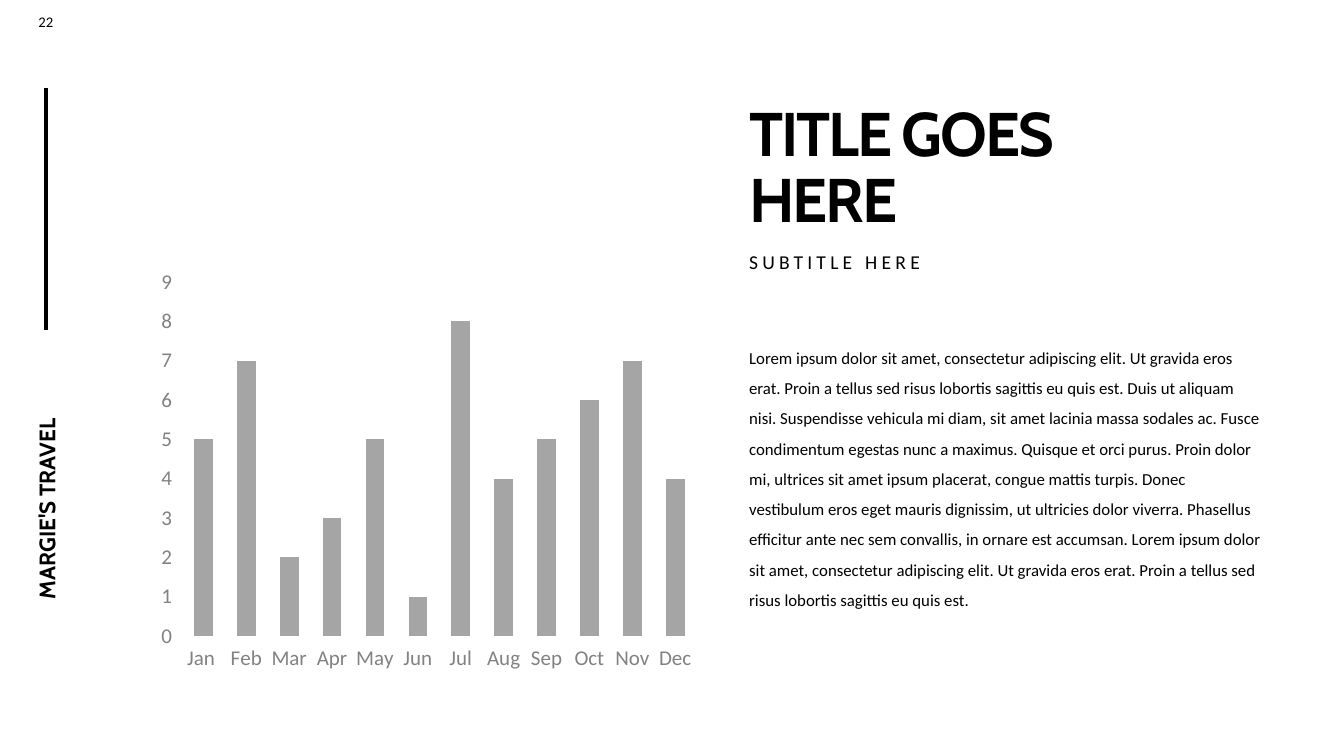
from dataclasses import dataclass

from pptx import Presentation
from pptx.chart.data import CategoryChartData
from pptx.dml.color import RGBColor
from pptx.enum.chart import XL_CHART_TYPE as ChartType, XL_TICK_MARK as TickMark
from pptx.enum.shapes import MSO_CONNECTOR as Connector
from pptx.enum.text import MSO_ANCHOR as Anchor, MSO_AUTO_SIZE as AutoSize, PP_ALIGN as Align
from pptx.oxml.ns import qn
from pptx.util import Inches, Pt

PAGE_NUMBER = "22"
COMPANY = "MARGIE'S TRAVEL"
TITLE = "TITLE GOES\vHERE"
SUBTITLE = "SUBTITLE HERE"
BODY = (
    "Lorem ipsum dolor sit amet, consectetur adipiscing elit. Ut gravida eros erat. "
    "Proin a tellus sed risus lobortis sagittis eu quis est. Duis ut aliquam nisi. "
    "Suspendisse vehicula mi diam, sit amet lacinia massa sodales ac. Fusce condimentum "
    "egestas nunc a maximus. Quisque et orci purus. Proin dolor mi, ultrices sit amet "
    "ipsum placerat, congue mattis turpis. Donec vestibulum eros eget mauris dignissim, "
    "ut ultricies dolor viverra. Phasellus efficitur ante nec sem convallis, in ornare "
    "est accumsan. Lorem ipsum dolor sit amet, consectetur adipiscing elit. Ut gravida "
    "eros erat. Proin a tellus sed risus lobortis sagittis eu quis est."
)
MONTHLY = {
    "Jan ": 5, "Feb": 7, "Mar": 2, "Apr": 3, "May": 5, "Jun": 1,
    "Jul": 8, "Aug": 4, "Sep": 5, "Oct": 6, "Nov": 7, "Dec": 4,
}


@dataclass(frozen=True)
class Theme:
    heading_font: str = "Cabin"
    body_font: str = "Calibri"
    ink: RGBColor = RGBColor(0x00, 0x00, 0x00)
    chart_ink: RGBColor = RGBColor(0x3F, 0x3F, 0x3F)
    axis_ink: RGBColor = RGBColor(0x82, 0x82, 0x82)
    bar: RGBColor = RGBColor(0xA5, 0xA5, 0xA5)
    title: float = 44
    company: float = 16
    axis: float = 15
    subtitle: float = 14
    body: float = 12
    page_number: float = 10.5


THEME = Theme()
COLUMN_LEFT, COLUMN_WIDTH = 7.43, 5.21
COLUMN_INSETS = (0, 0.05, 0.1, 0.05)
RAIL_X = 0.46


def style_font(font, family, size, color, bold=False):
    font.name, font.size, font.bold = family, Pt(size), bold
    font.color.rgb = color


def add_text(slide, text, box, size, family=THEME.body_font, bold=False, wrap=True,
             insets=COLUMN_INSETS, anchor=Anchor.TOP, align=Align.LEFT,
             line_spacing=1.0, tracking=0):
    """Add a one-paragraph text box; tracking is letter spacing in points."""
    label = slide.shapes.add_textbox(*map(Inches, box))
    frame = label.text_frame
    frame.text = text
    frame.word_wrap = wrap
    frame.auto_size = AutoSize.NONE if wrap else AutoSize.SHAPE_TO_FIT_TEXT
    frame.vertical_anchor = anchor
    (frame.margin_left, frame.margin_top,
     frame.margin_right, frame.margin_bottom) = map(Inches, insets)
    paragraph = frame.paragraphs[0]
    paragraph.alignment = align
    paragraph.line_spacing = line_spacing
    for run in paragraph.runs:
        style_font(run.font, family, size, THEME.ink, bold)
        if tracking:
            run._r.get_or_add_rPr().set("spc", str(int(tracking * 100)))
    return label


def add_rail(slide):
    """Add the left strip: page number, rule and company name."""
    add_text(slide, PAGE_NUMBER, (0.17, 0.08, 0.57, 0.27), THEME.page_number,
             insets=(0.1, 0.05, 0.1, 0.05), align=Align.CENTER)
    rule = slide.shapes.add_connector(
        Connector.STRAIGHT, *map(Inches, (RAIL_X, 3.27, RAIL_X, 0.87)))
    rule.line.color.rgb = THEME.ink
    rule.line.width = Pt(3)
    properties = rule._element.spPr
    properties.append(properties.makeelement(qn("a:effectLst"), {}))
    company = add_text(slide, COMPANY, (-0.59, 4.76, 2.1, 0.31), THEME.company,
                       THEME.heading_font, bold=True, wrap=False,
                       insets=(0.02,) * 4, anchor=Anchor.MIDDLE)
    company.rotation = 270


def add_monthly_chart(slide):
    data = CategoryChartData()
    data.categories = list(MONTHLY)
    data.add_series("Series 1", list(MONTHLY.values()))
    chart = slide.shapes.add_chart(
        ChartType.COLUMN_CLUSTERED, *map(Inches, (1.49, 2.59, 5.53, 4.15)), data).chart
    chart.has_title = chart.has_legend = False
    style_font(chart.font, THEME.body_font, THEME.axis, THEME.chart_ink)
    for axis in (chart.category_axis, chart.value_axis):
        axis.has_major_gridlines = False
        axis.major_tick_mark = TickMark.OUTSIDE
        axis.format.line.fill.background()
        style_font(axis.tick_labels.font, THEME.body_font, THEME.axis, THEME.axis_ink)
    values = chart.value_axis
    values.minimum_scale, values.maximum_scale, values.major_unit = 0, 9, 1
    plot = chart.plots[0]
    plot.gap_width = 129
    plot.vary_by_categories = False
    fill = plot.series[0].format.fill
    fill.solid()
    fill.fore_color.rgb = THEME.bar


def add_text_column(slide):
    def column_box(top, height):
        return COLUMN_LEFT, top, COLUMN_WIDTH, height

    add_text(slide, TITLE, column_box(0.92, 1.47), THEME.title, THEME.heading_font,
             bold=True, anchor=Anchor.BOTTOM, line_spacing=0.9, tracking=-1.5)
    add_text(slide, SUBTITLE, column_box(2.46, 0.66), THEME.subtitle,
             line_spacing=0.9, tracking=3)
    add_text(slide, BODY, column_box(3.3, 3.39), THEME.body, line_spacing=1.5)


def main():
    deck = Presentation()
    deck.slide_width, deck.slide_height = Inches(13.33), Inches(7.5)
    slide = deck.slides.add_slide(deck.slide_layouts[6])
    add_rail(slide)
    add_monthly_chart(slide)
    add_text_column(slide)
    deck.save("out.pptx")


if __name__ == "__main__":
    main()
